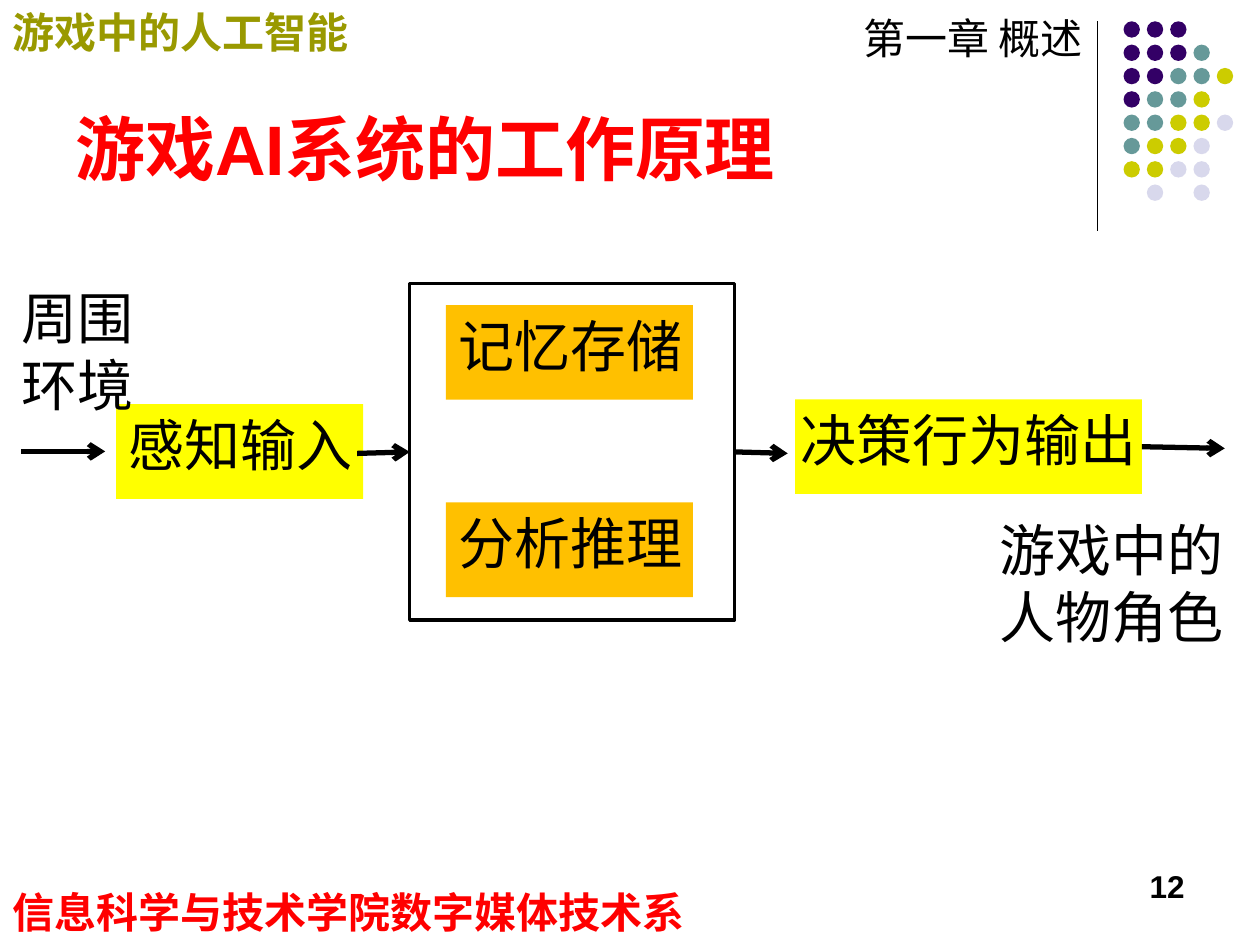
from dataclasses import dataclass
from typing import Optional

from lxml import etree
from pptx import Presentation
from pptx.dml.color import RGBColor
from pptx.enum.shapes import MSO_CONNECTOR, MSO_SHAPE
from pptx.enum.text import MSO_ANCHOR, PP_ALIGN
from pptx.oxml.ns import qn
from pptx.util import Cm, Pt

RECTANGLE = MSO_SHAPE.RECTANGLE
OVAL = MSO_SHAPE.OVAL
STRAIGHT = MSO_CONNECTOR.STRAIGHT
TOP, BOTTOM = MSO_ANCHOR.TOP, MSO_ANCHOR.BOTTOM
LEFT, RIGHT = PP_ALIGN.LEFT, PP_ALIGN.RIGHT
LEFT_SIDE, RIGHT_SIDE = 1, 3


@dataclass(frozen=True)
class Theme:
    latin: str = "Arial"
    chinese: str = "Noto Sans CJK SC"
    black: str = "000000"
    red: str = "FF0000"
    olive: str = "999900"
    yellow: str = "FFFF00"
    orange: str = "FFC000"
    purple: str = "330066"
    teal: str = "669999"
    lime: str = "CCCC00"
    lavender: str = "D8D8EC"
    title_size: int = 40
    body_size: int = 32
    banner_size: int = 24
    number_size: int = 18


THEME = Theme()


@dataclass(frozen=True)
class Label:
    text: str
    left: float
    top: float
    width: float
    height: float
    size: int = THEME.body_size
    color: str = THEME.black
    bold: bool = False
    font: str = THEME.chinese
    align: PP_ALIGN = LEFT


@dataclass(frozen=True)
class Stage:
    text: str
    left: float
    top: float
    width: float
    fill: str
    inset: float = 0.25
    height: float = 1.91


@dataclass(frozen=True)
class Arrow:
    start: tuple[float, float]
    end: tuple[float, float]
    source: Optional[str] = None
    target: Optional[str] = None


FRAME = "frame"
LABELS = [
    Label("游戏中的人工智能", 0, 0, 8.69, 1.3, THEME.banner_size, THEME.olive, True),
    Label("第一章 概述", 17.15, 0.13, 6.3, 1.27, THEME.banner_size),
    Label("信息科学与技术学院数字媒体技术系", 0, 17.75, 14.6, 1.27,
          THEME.banner_size, THEME.red, True),
    Label("12", 18.21, 17.35, 5.92, 1.27, THEME.number_size,
          bold=True, font=THEME.latin, align=RIGHT),
    Label("周围环境", 0.18, 5.59, 3.02, 3),
    Label("游戏中的人物角色", 19.89, 10.26, 6.1, 3),
]
TITLE = Label("游戏AI系统的工作原理", 1.27, 0.33, 20.96, 3.61,
              THEME.title_size, THEME.red, True, THEME.latin)
STAGES = [
    Stage("分析推理", 8.99, 10.13, 4.98, THEME.orange),
    Stage("记忆存储", 8.99, 6.15, 4.98, THEME.orange),
    Stage("感知输入", 2.34, 8.15, 4.98, THEME.yellow),
    Stage("决策行为输出", 16.03, 8.05, 6.99, THEME.yellow, inset=0.1),
]
ARROWS = [
    Arrow((0.42, 9.1), (2.12, 9.1)),
    Arrow((7.2, 9.14), (8.26, 9.1), target=FRAME),
    Arrow((14.82, 9.07), (15.88, 9.14), source=FRAME),
    Arrow((23.01, 9.04), (24.69, 9.04), source="决策行为输出"),
]

DOT_ROWS = ["PPP", "PPPT", "PPTTL", "PTTL", "TTLLV", "TLLV", "LLVV", " V V"]
DOT_COLORS = {"P": THEME.purple, "T": THEME.teal,
              "L": THEME.lime, "V": THEME.lavender}
DOT_LEFT, DOT_TOP, DOT_PITCH, DOT_SIZE = 22.65, 0.43, 0.47, 0.33


def write(shape, label: Label, anchor=TOP) -> None:
    frame = shape.text_frame
    frame.word_wrap = True
    frame.vertical_anchor = anchor
    frame.text = label.text
    paragraph = frame.paragraphs[0]
    paragraph.alignment = label.align
    font = paragraph.font
    font.name = label.font
    font.size = Pt(label.size)
    font.bold = label.bold
    font.color.rgb = RGBColor.from_string(label.color)


def place(shape, label: Label) -> None:
    shape.left, shape.top = Cm(label.left), Cm(label.top)
    shape.width, shape.height = Cm(label.width), Cm(label.height)


def add_label(slide, label: Label) -> None:
    box = slide.shapes.add_textbox(0, 0, 0, 0)
    place(box, label)
    write(box, label)


def add_filled(slide, kind, left, top, width, height, fill: Optional[str]):
    shape = slide.shapes.add_shape(kind, Cm(left), Cm(top), Cm(width), Cm(height))
    shape.shadow.inherit = False
    shape.line.fill.background()
    if fill:
        shape.fill.solid()
        shape.fill.fore_color.rgb = RGBColor.from_string(fill)
    else:
        shape.fill.background()
    return shape


def add_stage(slide, stage: Stage):
    box = add_filled(slide, RECTANGLE, stage.left, stage.top,
                     stage.width, stage.height, stage.fill)
    write(box, Label(stage.text, stage.left, stage.top, stage.width, stage.height))
    box.text_frame.margin_left = Cm(stage.inset)
    box.text_frame.margin_right = 0
    return box


def add_line(slide, start, end, weight: float):
    line = slide.shapes.add_connector(STRAIGHT, *map(Cm, start), *map(Cm, end))
    line.line.width = Pt(weight)
    line.line.color.rgb = RGBColor.from_string(THEME.black)
    etree.SubElement(line._element.spPr, qn("a:effectLst"))
    return line


def add_arrow(slide, arrow: Arrow, boxes: dict) -> None:
    line = add_line(slide, arrow.start, arrow.end, 3)
    etree.SubElement(line.line._get_or_add_ln(), qn("a:tailEnd"), type="arrow")
    if arrow.source:
        line.begin_connect(boxes[arrow.source], RIGHT_SIDE)
    if arrow.target:
        line.end_connect(boxes[arrow.target], LEFT_SIDE)


def add_dots(slide) -> None:
    for row, marks in enumerate(DOT_ROWS):
        for column, mark in enumerate(marks):
            if mark in DOT_COLORS:
                add_filled(slide, OVAL, DOT_LEFT + column * DOT_PITCH,
                           DOT_TOP + row * DOT_PITCH, DOT_SIZE, DOT_SIZE,
                           DOT_COLORS[mark])


def main() -> None:
    deck = Presentation()
    deck.slide_width, deck.slide_height = Cm(25.4), Cm(19.05)
    slide = deck.slides.add_slide(deck.slide_layouts[5])

    add_line(slide, (22.12, 0.43), (22.12, 4.65), 0.75)
    add_dots(slide)
    place(slide.shapes.title, TITLE)
    write(slide.shapes.title, TITLE, BOTTOM)

    boxes = {stage.text: add_stage(slide, stage) for stage in STAGES}
    frame = add_filled(slide, RECTANGLE, 8.26, 5.72, 6.55, 6.78, None)
    frame.line.color.rgb = RGBColor.from_string(THEME.black)
    frame.line.width = Pt(2)
    boxes[FRAME] = frame

    for arrow in ARROWS:
        add_arrow(slide, arrow, boxes)
    for label in LABELS:
        add_label(slide, label)
    deck.save("out.pptx")


if __name__ == "__main__":
    main()
